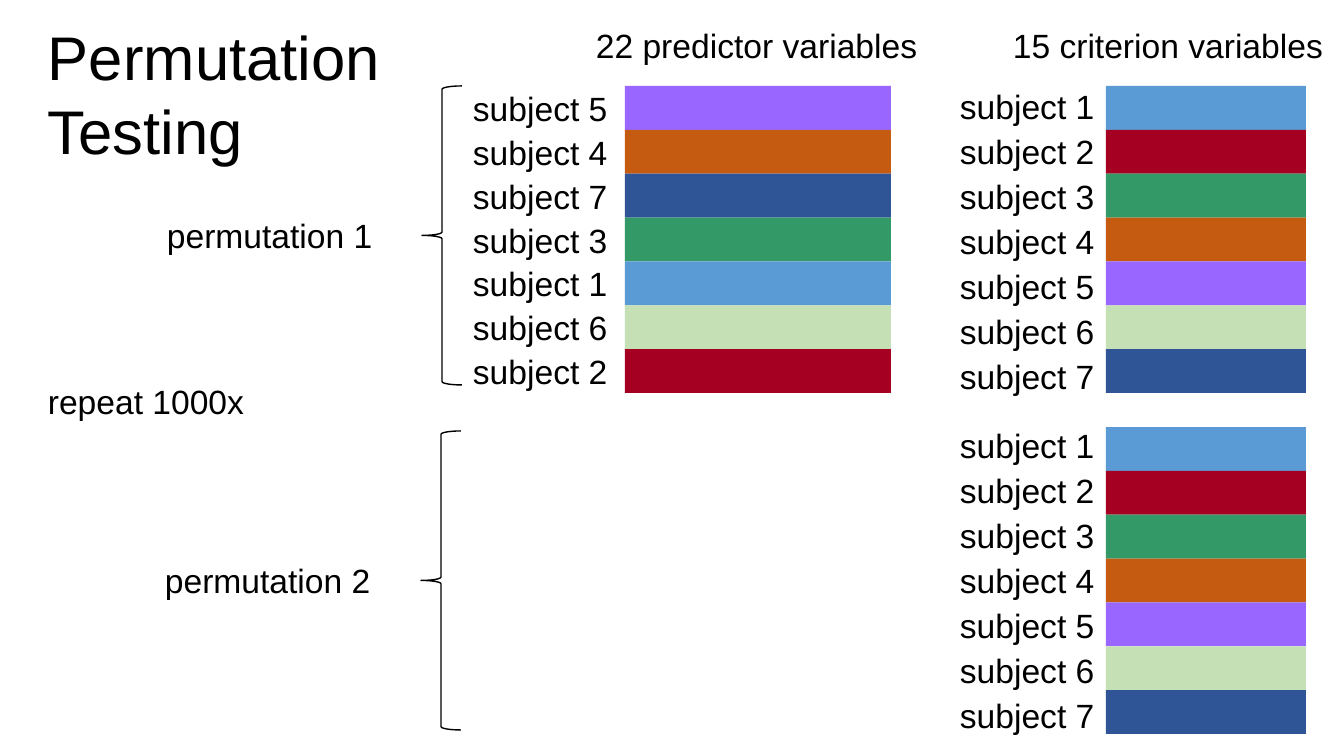
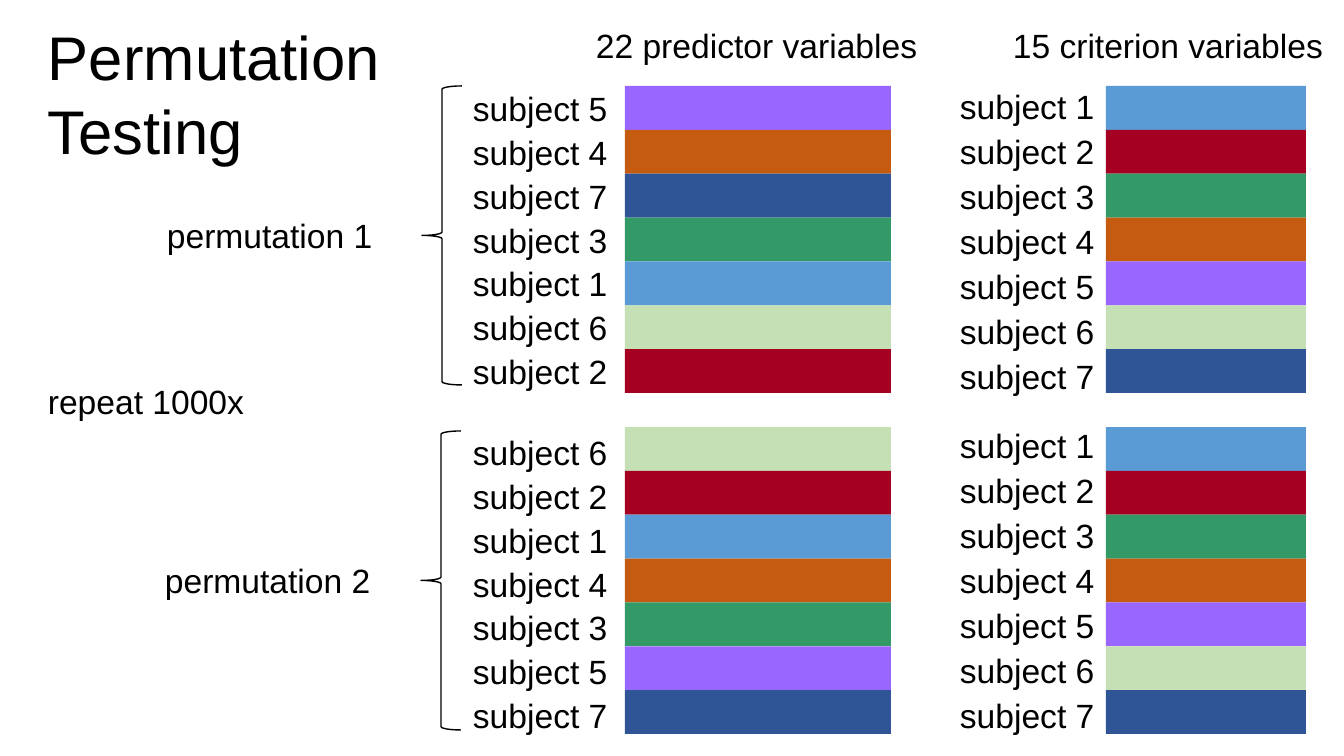
from dataclasses import dataclass

from pptx import Presentation
from pptx.dml.color import RGBColor
from pptx.enum.shapes import MSO_SHAPE
from pptx.enum.text import MSO_AUTO_SIZE
from pptx.shapes.autoshape import Shape
from pptx.slide import Slide
from pptx.util import Emu, Pt

EMU_PER_PIXEL = 914400 / 100.8
SLIDE_WIDTH, SLIDE_HEIGHT = 1344, 756

BLACK = RGBColor(0x00, 0x00, 0x00)
BLUE = RGBColor(0x5B, 0x9B, 0xD5)
RED = RGBColor(0xA5, 0x00, 0x21)
GREEN = RGBColor(0x33, 0x99, 0x66)
ORANGE = RGBColor(0xC5, 0x5A, 0x11)
PURPLE = RGBColor(0x99, 0x66, 0xFF)
PALE_GREEN = RGBColor(0xC5, 0xE0, 0xB4)
NAVY = RGBColor(0x2F, 0x55, 0x97)

SUBJECT_COLORS = {
    1: BLUE, 2: RED, 3: GREEN, 4: ORANGE, 5: PURPLE, 6: PALE_GREEN, 7: NAVY,
}
SUBJECT_COUNT = len(SUBJECT_COLORS)
BODY_FONT = {"name": "Arial", "size": Pt(24)}
TITLE_FONT = {**BODY_FONT, "size": Pt(44)}

STACK_HEIGHT = 307
BAR_PITCH = STACK_HEIGHT / SUBJECT_COUNT
CRITERION_LABEL_PITCH = 45
LABEL_WIDTH, LINE_HEIGHT = 156, 50


@dataclass(frozen=True)
class Box:
    """A rectangle in pixels."""

    left: float
    top: float
    width: float
    height: float

    def emu(self) -> tuple[Emu, ...]:
        """Return the rectangle in EMU."""
        sides = (self.left, self.top, self.width, self.height)
        return tuple(Emu(round(side * EMU_PER_PIXEL)) for side in sides)


@dataclass(frozen=True)
class Caption:
    """Text lines, their box and their font."""

    lines: tuple[str, ...]
    box: Box
    font: dict


@dataclass(frozen=True)
class SubjectStack:
    """Coloured subject bars with a label to the left of each."""

    subjects: tuple[int, ...]
    bar_left: int
    bar_top: int
    bar_width: int
    label_left: int
    label_top: int
    label_pitch: float


def criterion_stack(bar_top: int, label_top: int) -> SubjectStack:
    """Describe the criterion data, always in subject order."""
    return SubjectStack(tuple(SUBJECT_COLORS), 1106, bar_top, 200,
                        950, label_top, CRITERION_LABEL_PITCH)


def predictor_stack(subjects: tuple[int, ...], bar_top: int,
                    label_top: int) -> SubjectStack:
    """Describe the predictor data in a permuted order."""
    return SubjectStack(subjects, 625, bar_top, 266, 463, label_top, BAR_PITCH)


CAPTIONS = (
    Caption(("Permutation", "Testing"), Box(38, 14, 373, 159), TITLE_FONT),
    Caption(("22 predictor variables",), Box(586, 20, 345, LINE_HEIGHT), BODY_FONT),
    Caption(("15 criterion variables",), Box(1003, 20, 334, LINE_HEIGHT), BODY_FONT),
    Caption(("permutation 1",), Box(157, 210, 228, LINE_HEIGHT), BODY_FONT),
    Caption(("permutation 2",), Box(155, 555, 228, LINE_HEIGHT), BODY_FONT),
    Caption(("repeat 1000x",), Box(38, 376, 219, LINE_HEIGHT), BODY_FONT),
)
BRACES = (Box(422, 86, 40, 299), Box(421, 431, 40, 299))
SHARED_STACKS = (
    criterion_stack(86, 81),
    criterion_stack(427, 420),
    predictor_stack((5, 4, 7, 3, 1, 6, 2), 86, 83),
)
SECOND_PERMUTATION = predictor_stack((6, 2, 1, 4, 3, 5, 7), 427, 427)
SLIDE_STACKS = (SHARED_STACKS, (*SHARED_STACKS, SECOND_PERMUTATION))


def add_caption(shapes, caption: Caption) -> Shape:
    """Add unwrapped text, one paragraph per line."""
    text_box = shapes.add_textbox(*caption.box.emu())
    frame = text_box.text_frame
    frame.word_wrap = False
    frame.auto_size = MSO_AUTO_SIZE.SHAPE_TO_FIT_TEXT
    frame.text = "\n".join(caption.lines)
    for paragraph in frame.paragraphs:
        for run in paragraph.runs:
            for attribute, value in caption.font.items():
                setattr(run.font, attribute, value)
            run.font.color.rgb = BLACK
    return text_box


def add_bar(shapes, box: Box, color: RGBColor) -> Shape:
    """Add a borderless coloured bar."""
    bar = shapes.add_shape(MSO_SHAPE.RECTANGLE, *box.emu())
    bar.shadow.inherit = False
    bar.fill.solid()
    bar.fill.fore_color.rgb = color
    bar.line.fill.background()
    return bar


def add_brace(slide: Slide, box: Box) -> Shape:
    """Add a thin black left brace."""
    brace = slide.shapes.add_shape(MSO_SHAPE.LEFT_BRACE, *box.emu())
    brace.shadow.inherit = False
    brace.fill.background()
    brace.line.color.rgb = BLACK
    brace.line.width = Pt(1)
    return brace


def add_stack(slide: Slide, stack: SubjectStack) -> None:
    """Add a group of bars and a group of their labels."""
    bars = slide.shapes.add_group_shape()
    labels = slide.shapes.add_group_shape()
    for row, subject in enumerate(stack.subjects):
        bar_box = Box(stack.bar_left, stack.bar_top + row * BAR_PITCH,
                      stack.bar_width, BAR_PITCH)
        add_bar(bars.shapes, bar_box, SUBJECT_COLORS[subject])
        label_box = Box(stack.label_left, stack.label_top + row * stack.label_pitch,
                        LABEL_WIDTH, LINE_HEIGHT)
        add_caption(labels.shapes, Caption((f"subject {subject}",), label_box, BODY_FONT))


def add_permutation_slide(presentation, stacks: tuple[SubjectStack, ...]) -> None:
    """Add a slide with the shared captions and braces and the given stacks."""
    slide = presentation.slides.add_slide(presentation.slide_layouts[6])
    for stack in stacks:
        add_stack(slide, stack)
    for brace_box in BRACES:
        add_brace(slide, brace_box)
    for caption in CAPTIONS:
        add_caption(slide.shapes, caption)


def main() -> None:
    """Build and save the presentation."""
    presentation = Presentation()
    presentation.slide_width = Emu(round(SLIDE_WIDTH * EMU_PER_PIXEL))
    presentation.slide_height = Emu(round(SLIDE_HEIGHT * EMU_PER_PIXEL))
    for stacks in SLIDE_STACKS:
        add_permutation_slide(presentation, stacks)
    presentation.save("out.pptx")


main()
